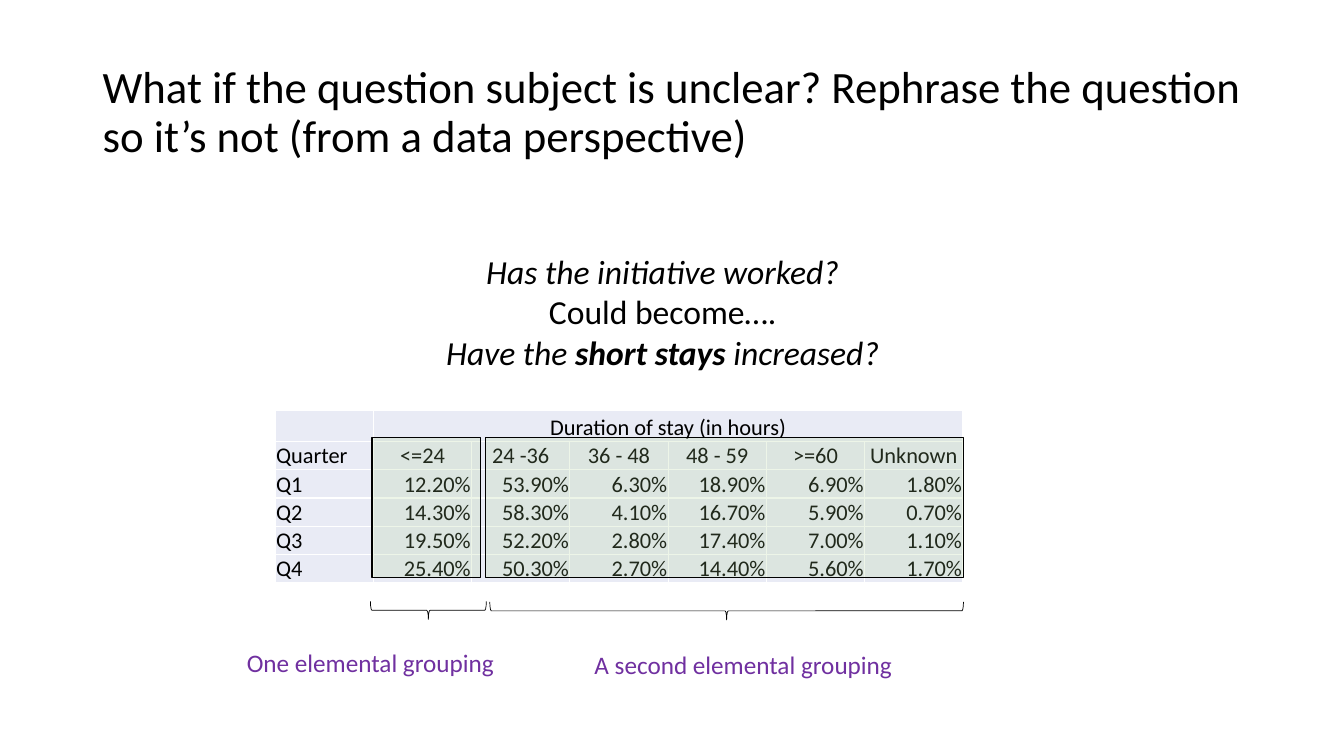
from lxml import etree
from pptx import Presentation
from pptx.dml.color import RGBColor
from pptx.enum.shapes import MSO_SHAPE
from pptx.enum.text import MSO_ANCHOR, PP_ALIGN
from pptx.oxml.ns import qn
from pptx.util import Emu, Pt

RECT, BRACE = MSO_SHAPE.RECTANGLE, MSO_SHAPE.LEFT_BRACE
LEFT, MID, RIGHT = PP_ALIGN.LEFT, PP_ALIGN.CENTER, PP_ALIGN.RIGHT
TOP, CENTER, BOTTOM = MSO_ANCHOR.TOP, MSO_ANCHOR.MIDDLE, MSO_ANCHOR.BOTTOM

SCALE = 4572
COLORS = {
    "ink": "000000",
    "cell": "E9EBF5",
    "edge": "FFFFFF",
    "green": "A9D18E",
    "purple": "7030A0",
}


def px(n):
    return Emu(n * SCALE)


def rgb(name):
    return RGBColor.from_string(COLORS[name])


def write(frame, text, font="Calibri", size=16, color="ink", align=LEFT, lead=None):
    lines = [[(text, "")]] if isinstance(text, str) else text
    for i, line in enumerate(lines):
        para = frame.add_paragraph() if i else frame.paragraphs[0]
        para.alignment = align
        if lead:
            para.line_spacing = lead
        para.font.size = Pt(size)
        for words, marks in line:
            run = para.add_run()
            run.text = words
            run.font.name = font
            run.font.size = Pt(size)
            run.font.bold = "b" in marks
            run.font.italic = "i" in marks
            run.font.color.rgb = rgb(color)


class Deck:
    def __init__(self, wide, high):
        self.file = Presentation()
        self.file.slide_width, self.file.slide_height = px(wide), px(high)
        self.slide = self.file.slides.add_slide(self.file.slide_layouts[6])

    def text(self, box, text, wrap=False, anchor=TOP, **style):
        frame = self.slide.shapes.add_textbox(*map(px, box)).text_frame
        frame.word_wrap = wrap
        frame.vertical_anchor = anchor
        write(frame, text, **style)

    def shape(self, kind, box, width, fill=None, alpha=100, turn=0):
        shape = self.slide.shapes.add_shape(kind, *map(px, box))
        shape.shadow.inherit = False
        shape.rotation = turn
        shape.line.color.rgb = rgb("ink")
        shape.line.width = Pt(width)
        if not fill:
            shape.fill.background()
            return
        shape.fill.solid()
        shape.fill.fore_color.rgb = rgb(fill)
        tint = shape.fill._xPr.find(".//" + qn("a:srgbClr"))
        etree.SubElement(tint, qn("a:alpha"), val=str(alpha * 1000))

    def edge(self, cell):
        props = cell._tc.get_or_add_tcPr()
        for i, side in enumerate(("L", "R", "T", "B")):
            line = etree.Element(qn("a:ln" + side), w=str(Pt(1)))
            fill = etree.SubElement(line, qn("a:solidFill"))
            etree.SubElement(fill, qn("a:srgbClr"), val=COLORS["edge"])
            props.insert(i, line)

    def table(self, left, top, wide, high, rows):
        count = len(rows[0])
        grid = self.slide.shapes.add_table(
            len(rows), count, px(left), px(top), px(wide * count), px(high * len(rows))
        ).table
        grid.first_row = grid.horz_banding = False
        for col in grid.columns:
            col.width = px(wide)
        for r, row in enumerate(rows):
            grid.rows[r].height = px(high)
            for c, text in enumerate(row):
                cell = grid.cell(r, c)
                cell.margin_left = cell.margin_right = cell.margin_top = px(2)
                cell.margin_bottom = 0
                cell.vertical_anchor = BOTTOM
                cell.fill.solid()
                cell.fill.fore_color.rgb = rgb("cell")
                self.edge(cell)
                align = LEFT if c == 0 else MID if r < 2 else RIGHT
                write(cell.text_frame, text, align=align)
        grid.cell(0, 1).merge(grid.cell(0, count - 1))


STAYS = [
    ["", "Duration of stay (in hours)", "", "", "", "", ""],
    ["Quarter", "<=24", "24 -36", "36 - 48", "48 - 59", ">=60", "Unknown"],
    ["Q1", "12.20%", "53.90%", "6.30%", "18.90%", "6.90%", "1.80%"],
    ["Q2", "14.30%", "58.30%", "4.10%", "16.70%", "5.90%", "0.70%"],
    ["Q3", "19.50%", "52.20%", "2.80%", "17.40%", "7.00%", "1.10%"],
    ["Q4", "25.40%", "50.30%", "2.70%", "14.40%", "5.60%", "1.70%"],
]
ASK = [
    [("Has the initiative worked?", "i")],
    [("Could become….", "")],
    [("Have the ", "i"), ("short stays", "bi"), (" increased?", "i")],
]
GROUPS = [
    ((738, 868, 216, 278), (832, 1096, 36, 230), (470, 1274, 538, 80), "One elemental grouping"),
    ((964, 868, 948, 278), (1424, 742, 36, 940), (1160, 1278, 638, 80), "A second elemental grouping"),
]


def main():
    deck = Deck(2667, 1500)
    deck.text(
        (184, 80, 2300, 290),
        "What if the question subject is unclear? Rephrase the question so it’s not (from a data perspective)",
        wrap=True, anchor=CENTER, size=32, lead=0.9,
    )
    deck.table(546, 814, 195, 56, STAYS)
    deck.text((864, 488, 902, 262), ASK, size=24, align=MID)
    for box, brace, label, text in GROUPS:
        deck.shape(RECT, box, 1, fill="green", alpha=20)
        deck.shape(BRACE, brace, 0.5, turn=270)
        deck.text(label, text, size=18, color="purple")
    deck.file.save("out.pptx")


if __name__ == "__main__":
    main()
